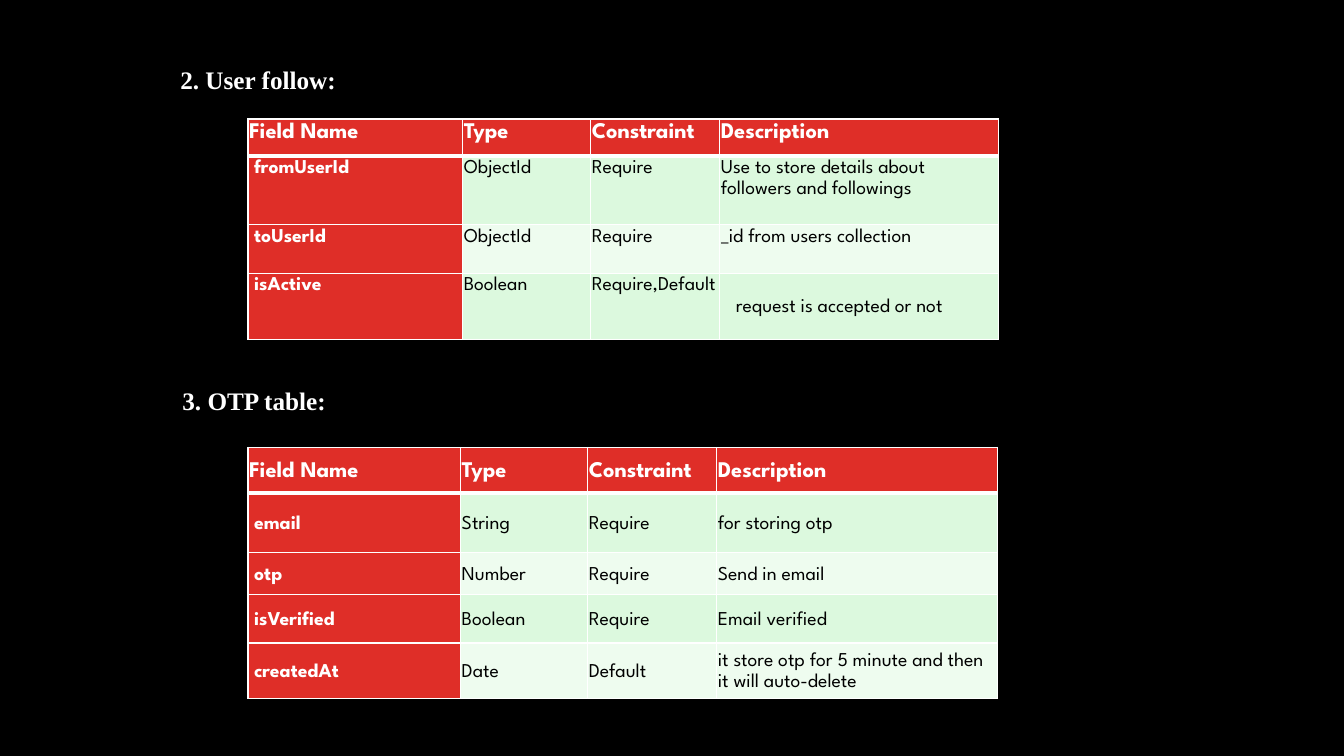
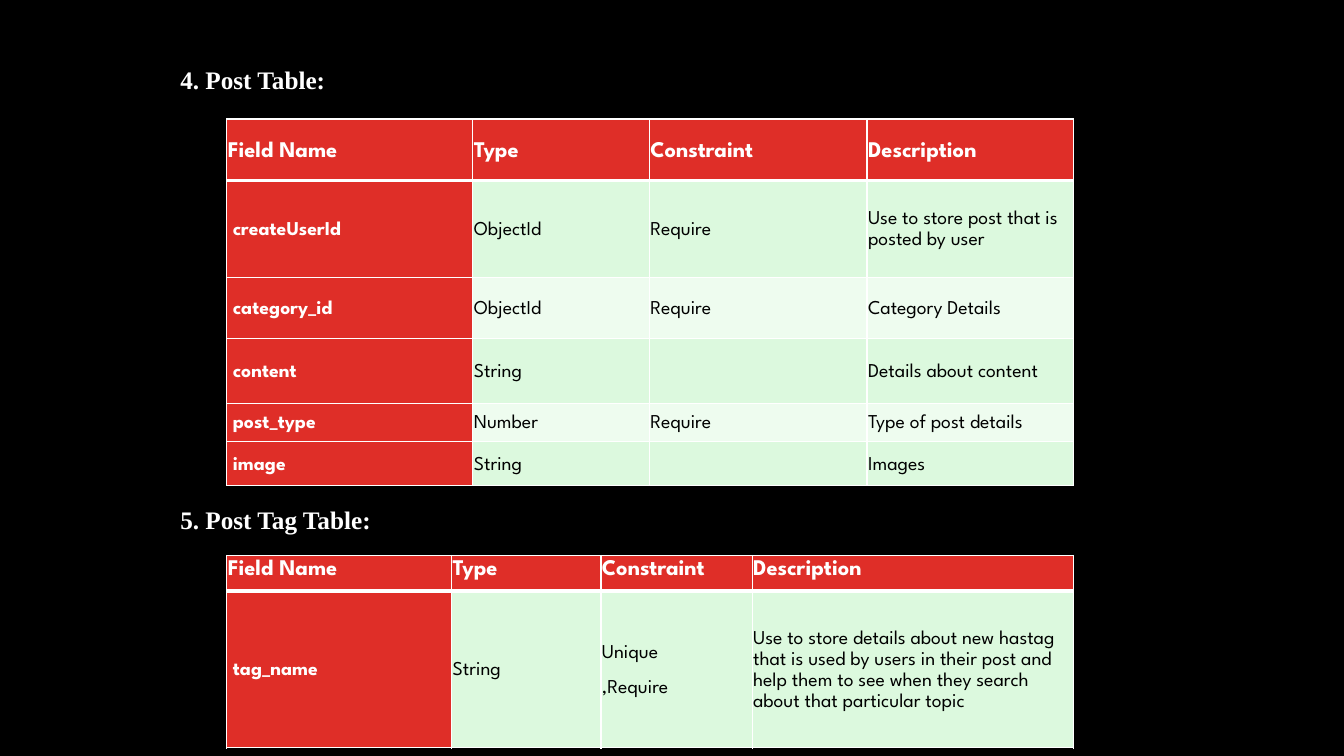
from lxml.etree import SubElement
from pptx import Presentation
from pptx.dml.color import RGBColor
from pptx.enum.text import MSO_ANCHOR, MSO_AUTO_SIZE
from pptx.oxml.ns import qn
from pptx.util import Inches, Pt

COLORS = {
    "background": "000000",
    "light": "FFFFFF",
    "dark": "000000",
    "red": "DF2E28",
    "odd_row": "DCF9DE",
    "even_row": "EEFCEF",
}
TITLE_FONT = "Times New Roman"
TABLE_FONT = "League Spartan"
HEADER = ("Field Name", "Type", "Constraint", "Description")
CELL_INSET = 0.01
FIELD_INSET = 0.06

FOLLOW_ROWS = [
    ("fromUserId", "ObjectId", "Require",
     "Use to store details about followers and followings"),
    ("toUserId", "ObjectId", "Require", "_id from users collection"),
    ("isActive", "Boolean", "Require,Default", "request is accepted or not"),
]
OTP_ROWS = [
    ("email", "String", "Require", "for storing otp"),
    ("otp", "Number", "Require", "Send in email"),
    ("isVerified", "Boolean", "Require", "Email verified"),
    ("createdAt", "Date", "Default",
     "it store otp for 5 minute and then it will auto-delete"),
]
POST_ROWS = [
    ("createUserId", "ObjectId", "Require",
     "Use to store post that is posted by user"),
    ("category_id", "ObjectId", "Require", "Category Details"),
    ("content", "String", "", "Details about content"),
    ("post_type", "Number", "Require", "Type of post details"),
    ("image", "String", "", "Images"),
]
TAG_ROWS = [
    ("tag_name", "String", "Unique\n,Require",
     "Use to store details about new hastag that is used by users in their "
     "post and help them to see when they search about that particular topic"),
]


def color(name):
    return RGBColor.from_string(COLORS[name])


def add_span(para, text, font_name, size, color_name, bold):
    span = para.add_run()
    span.text = text
    span.font.name = font_name
    span.font.size = Pt(size)
    span.font.bold = bold
    span.font.color.rgb = color(color_name)


def add_title(page, text, top, left=1.69, width=6.67):
    box = page.shapes.add_textbox(
        Inches(left), Inches(top), Inches(width), Inches(0.43))
    frame = box.text_frame
    frame.word_wrap = True
    frame.auto_size = MSO_AUTO_SIZE.SHAPE_TO_FIT_TEXT
    para = frame.paragraphs[0]
    para.line_spacing = 1.07
    add_span(para, text, TITLE_FONT, 18, "light", True)


def set_borders(cell, bottom):
    """Draw white cell edges, 1 pt wide except for the bottom one."""
    properties = cell._tc.get_or_add_tcPr()
    for side, width in (("L", 1), ("R", 1), ("T", 1), ("B", bottom)):
        line = SubElement(properties, qn(f"a:ln{side}"), w=str(Pt(width)))
        fill = SubElement(line, qn("a:solidFill"))
        SubElement(fill, qn("a:srgbClr"), val=COLORS["light"])


def fill_cell(cell, text, row, column, anchor):
    is_header, is_field = row == 0, column == 0
    on_red = is_header or is_field
    set_borders(cell, bottom=3 if is_header else 1)
    cell.fill.solid()
    band = "odd_row" if row % 2 else "even_row"
    cell.fill.fore_color.rgb = color("red" if on_red else band)
    cell.vertical_anchor = anchor
    cell.margin_left = Inches(
        FIELD_INSET if is_field and not is_header else CELL_INSET)
    cell.margin_right = cell.margin_top = Inches(CELL_INSET)
    cell.margin_bottom = 0
    if not text:
        return
    frame = cell.text_frame
    for index, line in enumerate(text.split("\n")):
        para = frame.add_paragraph() if index else frame.paragraphs[0]
        para.line_spacing = 1.15
        if index:
            para.space_before = Pt(10)
        add_span(para, line, TABLE_FONT, 16 if is_header else 14,
                 "light" if on_red else "dark", on_red)


def add_field_table(page, left, top, widths, heights, rows,
                    header_anchor=MSO_ANCHOR.MIDDLE,
                    body_anchor=MSO_ANCHOR.MIDDLE):
    table = page.shapes.add_table(
        len(heights), len(widths), Inches(left), Inches(top),
        Inches(sum(widths)), Inches(sum(heights))).table
    table.horz_banding = False
    for column, width in zip(table.columns, widths):
        column.width = Inches(width)
    for table_row, height in zip(table.rows, heights):
        table_row.height = Inches(height)
    for row, texts in enumerate([HEADER, *rows]):
        anchor = body_anchor if row else header_anchor
        for column, text in enumerate(texts):
            fill_cell(table.cell(row, column), text, row, column, anchor)
    return table


def add_page(deck):
    return deck.slides.add_slide(deck.slide_layouts[6])


def build_follow_and_otp(deck):
    page = add_page(deck)
    add_title(page, "2. User follow:", 0.57)
    follow = add_field_table(
        page, 2.46, 1.18, (2.13, 1.27, 1.28, 2.76), (0.37, 0.68, 0.48, 0.66),
        FOLLOW_ROWS, MSO_ANCHOR.TOP, MSO_ANCHOR.TOP)
    request_cell = follow.cell(3, 3)
    request_cell.vertical_anchor = MSO_ANCHOR.MIDDLE
    request_cell.margin_left = Inches(0.16)
    add_title(page, "3. OTP table:", 3.75, left=1.71, width=2.02)
    add_field_table(
        page, 2.46, 4.44, (2.11, 1.26, 1.28, 2.78),
        (0.45, 0.59, 0.42, 0.48, 0.55), OTP_ROWS)


def build_post_and_tag(deck):
    page = add_page(deck)
    add_title(page, "4. Post Table:", 0.57)
    add_field_table(
        page, 2.25, 1.18, (2.44, 1.75, 2.16, 2.05),
        (0.61, 0.96, 0.61, 0.64, 0.38, 0.44), POST_ROWS)
    add_title(page, "5. Post Tag Table:", 4.93)
    add_field_table(
        page, 2.25, 5.51, (2.23, 1.48, 1.5, 3.19), (0.35, 1.56), TAG_ROWS,
        header_anchor=MSO_ANCHOR.TOP)


def main():
    deck = Presentation()
    deck.slide_width, deck.slide_height = Inches(13.33), Inches(7.5)
    background = deck.slide_master.background.fill
    background.solid()
    background.fore_color.rgb = color("background")
    build_follow_and_otp(deck)
    build_post_and_tag(deck)
    deck.save("out.pptx")


if __name__ == "__main__":
    main()
